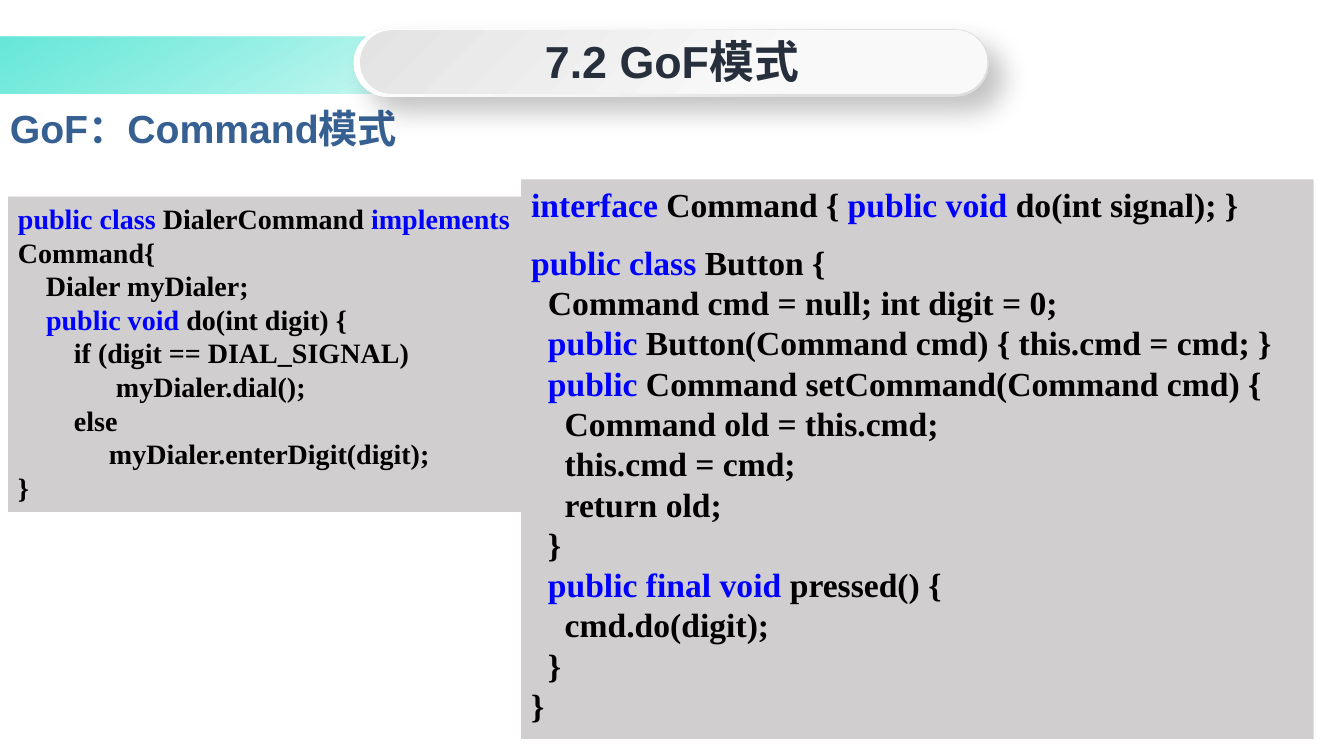
from lxml import etree
from pptx import Presentation
from pptx import util as u
from pptx.dml.color import RGBColor
from pptx.enum import shapes, text
from pptx.oxml import ns

COLORS = {"heading": "376092", "title": "262F3B", "panel": "D0CECE",
          "keyword": "0000FF", "code": "000000", "shadow": "000000"}

BAR_STOPS = [(1, "4EE4D2", 85), (50, "20E2CB", 0)]
RIM_STOPS = [(1, "DEDEDE", 100), (30, "E0E0E0", 100),
             (61, "F6F6F6", 100), (100, "FFFFFF", 100)]
FACE_STOPS = [(0, "E3E3E3", 100), (67, "F9F9F9", 100)]

# Keywords stand between tildes; each string is one paragraph.
BUTTON_CODE = [
    "~interface~ Command { ~public void~ do(int signal); }",
    """~public class~ Button {
  Command cmd = null; int digit = 0;
~  public~ Button(Command cmd) { this.cmd = cmd; }
~  public~ Command setCommand(Command cmd) {
    Command old = this.cmd;
    this.cmd = cmd;
    return old;
  }
~  public final void~ pressed() {
    cmd.do(digit);
  }
}""",
]
DIALER_CODE = [
    "~public class ~DialerCommand ~implements ~Command{",
    "    Dialer myDialer;",
    "    ~public void~ do(int digit) {\n        if (digit == DIAL_SIGNAL)",
    "              myDialer.dial();\n        else",
    "             myDialer.enterDigit(digit);\n}",
]


def rgb(name):
    return RGBColor.from_string(COLORS[name])


def sub(parent, tag, **attrs):
    return etree.SubElement(parent, ns.qn(tag),
                            {k: str(v) for k, v in attrs.items()})


def add_color(parent, color, alpha):
    clr = sub(parent, "a:srgbClr", val=color)
    if alpha < 100:
        sub(clr, "a:alpha", val=alpha * 1000)


def add_plain_shape(s, kind, box):
    sp = s.shapes.add_shape(kind, *map(u.Inches, box))
    sp.shadow.inherit = False
    sp.line.fill.background()
    return sp


def add_gradient_shape(s, kind, box, stops, angle):
    sp = add_plain_shape(s, kind, box)
    sp.fill.gradient()
    grad = sp._element.spPr.find(ns.qn("a:gradFill"))
    for child in list(grad):
        grad.remove(child)
    gs_list = sub(grad, "a:gsLst")
    for pos, color, alpha in stops:
        add_color(sub(gs_list, "a:gs", pos=pos * 1000), color, alpha)
    sub(grad, "a:lin", ang=angle * 60000, scaled=0)
    return sp


def add_capsule(s, box, stops, angle):
    sp = add_gradient_shape(s, shapes.MSO_SHAPE.ROUNDED_RECTANGLE, box, stops, angle)
    sp.adjustments[0] = 0.5
    return sp


def add_drop_shadow(sp, blur, dist, angle, alpha):
    effects = sp._element.spPr.find(ns.qn("a:effectLst"))
    shadow = sub(effects, "a:outerShdw", blurRad=u.Pt(blur), dist=u.Pt(dist),
                 dir=angle * 60000, algn="tl", rotWithShape=0)
    add_color(shadow, COLORS["shadow"], alpha)


def style_font(font, name, size, color):
    font.name, font.size, font.bold = name, u.Pt(size), True
    font.color.rgb = rgb(color)


def add_label(s, box, label, size, color, align, anchor):
    tf = s.shapes.add_textbox(*map(u.Inches, box)).text_frame
    tf.word_wrap = True
    tf.vertical_anchor = anchor
    tf.text = label
    p = tf.paragraphs[0]
    p.alignment = align
    style_font(p.runs[0].font, "Arial", size, color)


def add_code_panel(s, box, code, size, gap=0):
    sp = add_plain_shape(s, shapes.MSO_SHAPE.RECTANGLE, box)
    sp.fill.solid()
    sp.fill.fore_color.rgb = rgb("panel")
    tf = sp.text_frame
    tf.word_wrap = True
    tf.vertical_anchor = text.MSO_ANCHOR.TOP
    for i, block in enumerate(code):
        p = tf.add_paragraph() if i else tf.paragraphs[0]
        p.alignment = text.PP_ALIGN.LEFT
        if i and gap:
            p.space_before = u.Pt(gap)
        for j, line in enumerate(block.split("\n")):
            if j:
                p.add_line_break()
            for k, part in enumerate(line.split("~")):
                if part:
                    r = p.add_run()
                    r.text = part
                    style_font(r.font, "Times New Roman", size,
                               "keyword" if k % 2 else "code")


def main():
    prs = Presentation()
    prs.slide_width, prs.slide_height = u.Inches(13.33), u.Inches(7.5)
    s = prs.slides.add_slide(prs.slide_layouts[6])

    add_gradient_shape(s, shapes.MSO_SHAPE.RECTANGLE,
                       (-0.01, 0.36, 13.17, 0.57), BAR_STOPS, 60)
    add_label(s, (0, 0.93, 13.38, 0.67), "GoF：Command模式", 28, "heading",
              text.PP_ALIGN.LEFT, text.MSO_ANCHOR.MIDDLE)
    rim = add_capsule(s, (3.51, 0.29, 6.3, 0.67), RIM_STOPS, 225)
    add_drop_shadow(rim, blur=19, dist=14, angle=45, alpha=24)
    add_capsule(s, (3.57, 0.3, 6.22, 0.63), FACE_STOPS, 45)
    add_label(s, (3.81, 0.29, 5.71, 0.64), "7.2 GoF模式", 32, "title",
              text.PP_ALIGN.CENTER, text.MSO_ANCHOR.TOP)
    add_code_panel(s, (5.17, 1.78, 7.86, 5.55), BUTTON_CODE, 24, gap=12)
    add_code_panel(s, (0.08, 1.95, 5.1, 3.13), DIALER_CODE, 20)

    prs.save("out.pptx")


if __name__ == "__main__":
    main()
